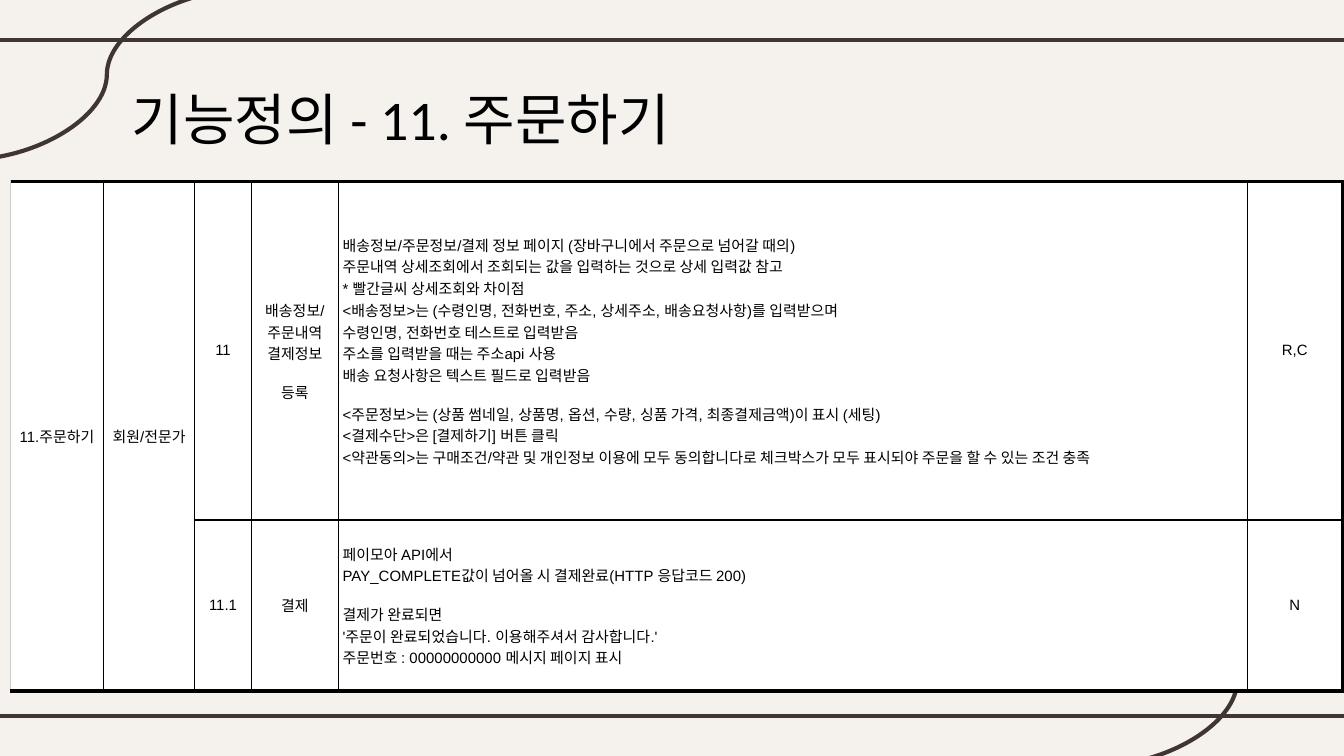
from lxml.etree import SubElement
from pptx import Presentation
from pptx.dml.color import RGBColor
from pptx.enum.shapes import MSO_CONNECTOR
from pptx.enum.text import MSO_ANCHOR, MSO_AUTO_SIZE, PP_ALIGN
from pptx.oxml.ns import qn
from pptx.util import Inches, Pt

CREAM = RGBColor(0xF5, 0xF2, 0xEE)
BROWN = RGBColor(0x3F, 0x35, 0x33)
BLACK = RGBColor(0x00, 0x00, 0x00)
GRAY = RGBColor(0xCC, 0xCC, 0xCC)
WHITE = RGBColor(0xFF, 0xFF, 0xFF)

THIN, MEDIUM, THICK = 0.75, 1.5, 2.25
COLUMN_WIDTHS = [0.69, 0.68, 0.42, 0.65, 6.76, 0.71]
ROW_HEIGHTS = [2.52, 1.27]
DETAIL_COLUMN = 4

# Each cell is a list of blocks; each block is a list of lines.
ORDER_DETAILS = [
    [
        "배송정보/주문정보/결제 정보 페이지 (장바구니에서 주문으로 넘어갈 때의)",
        "주문내역 상세조회에서 조회되는 값을 입력하는 것으로 상세 입력값 참고",
        "* 빨간글씨 상세조회와 차이점",
        "<배송정보>는 (수령인명, 전화번호, 주소, 상세주소, 배송요청사항)를 입력받으며",
        "수령인명, 전화번호 테스트로 입력받음",
        "주소를 입력받을 때는 주소api 사용",
        "배송 요청사항은 텍스트 필드로 입력받음",
    ],
    [
        "<주문정보>는 (상품 썸네일, 상품명, 옵션, 수량, 싱품 가격, 최종결제금액)이 표시 (세팅)",
        "<결제수단>은 [결제하기] 버튼 클릭",
        "<약관동의>는 구매조건/약관 및 개인정보 이용에 모두 동의합니다로 "
        "체크박스가 모두 표시되야 주문을 할 수 있는 조건 충족",
    ],
]
PAYMENT_DETAILS = [
    ["페이모아 API에서", "PAY_COMPLETE값이 넘어올 시 결제완료(HTTP 응답코드 200)"],
    [
        "결제가 완료되면",
        "'주문이 완료되었습니다. 이용해주셔서 감사합니다.'",
        "주문번호 : 00000000000 메시지 페이지 표시",
    ],
]
ROWS = [
    [
        [["11.주문하기"]],
        [["회원/전문가"]],
        [["11"]],
        [["배송정보/", "주문내역", "결제정보"], ["등록"]],
        ORDER_DETAILS,
        [["R,C"]],
    ],
    [None, None, [["11.1"]], [["결제"]], PAYMENT_DETAILS, [["N"]]],
]


class SlideBuilder:
    def __init__(self, page):
        self.page = page
        page.background.fill.solid()
        page.background.fill.fore_color.rgb = CREAM

    def line(self, start, end, kind=MSO_CONNECTOR.STRAIGHT):
        connector = self.page.shapes.add_connector(
            kind, *[Inches(value) for value in (*start, *end)])
        connector.line.color.rgb = BROWN
        connector.line.width = Pt(THICK)
        SubElement(connector._element.spPr, qn("a:effectLst"))

    def title(self, text, left, top, width, height):
        box = self.page.shapes.title
        box.left, box.top = Inches(left), Inches(top)
        box.width, box.height = Inches(width), Inches(height)
        frame = box.text_frame
        frame.text = text
        frame.auto_size = MSO_AUTO_SIZE.NONE
        frame.vertical_anchor = MSO_ANCHOR.TOP
        frame.margin_left = frame.margin_right = Inches(0.1)
        frame.margin_top = frame.margin_bottom = Inches(0.1)
        para = frame.paragraphs[0]
        para.alignment = PP_ALIGN.LEFT
        self.style_text(para, "Calibri", 30)

    def style_text(self, para, font, size):
        for span in para.runs:
            span.font.name = font
            span.font.size = Pt(size)
            span.font.color.rgb = BLACK

    def table(self, rows, left, top):
        frame = self.page.shapes.add_table(
            len(rows), len(COLUMN_WIDTHS), Inches(left), Inches(top),
            Inches(sum(COLUMN_WIDTHS)), Inches(sum(ROW_HEIGHTS)))
        table = frame.table
        table.first_row = table.horz_banding = False
        for column, width in zip(table.columns, COLUMN_WIDTHS):
            column.width = Inches(width)
        for row, height in zip(table.rows, ROW_HEIGHTS):
            row.height = Inches(height)
        for column in (0, 1):
            table.cell(0, column).merge(table.cell(len(rows) - 1, column))

        last_column = len(COLUMN_WIDTHS) - 1
        for r, row in enumerate(rows):
            for c, blocks in enumerate(row):
                if blocks is None:
                    continue
                cell = table.cell(r, c)
                at_bottom = r + cell.span_height == len(rows)
                top_width = THIN if r else THICK if cell.is_merge_origin else MEDIUM
                self.cell_borders(cell, {
                    "a:lnL": (THIN, BLACK if c else GRAY),
                    "a:lnR": (THICK if c == last_column else THIN, BLACK),
                    "a:lnT": (top_width, BLACK),
                    "a:lnB": (THICK if at_bottom else THIN, BLACK),
                })
                alignment = PP_ALIGN.LEFT if c == DETAIL_COLUMN else PP_ALIGN.CENTER
                self.cell_text(cell, blocks, alignment)

    def cell_borders(self, cell, borders):
        properties = cell._tc.get_or_add_tcPr()
        for tag, (width, color) in borders.items():
            border = SubElement(properties, qn(tag), w=str(Pt(width)))
            fill = SubElement(border, qn("a:solidFill"))
            SubElement(fill, qn("a:srgbClr"), val=str(color))

    def cell_text(self, cell, blocks, alignment):
        cell.fill.solid()
        cell.fill.fore_color.rgb = WHITE
        cell.vertical_anchor = MSO_ANCHOR.MIDDLE
        cell.margin_left = cell.margin_right = Inches(0.03)
        cell.margin_top = cell.margin_bottom = Inches(0.02)
        cell.text_frame.text = "\n".join(line for block in blocks for line in block)
        paragraphs = cell.text_frame.paragraphs
        for para in paragraphs:
            para.alignment = alignment
            self.style_text(para, "Arial", 8)
        block_start = 0
        for block in blocks[:-1]:
            block_start += len(block)
            paragraphs[block_start].space_before = Pt(9)


def main():
    deck = Presentation()
    deck.slide_width = Inches(10)
    deck.slide_height = deck.slide_width * 9 // 16
    builder = SlideBuilder(deck.slides.add_slide(deck.slide_layouts[5]))
    for y in (0.3, 5.33):
        builder.line((-0.08, y), (10.08, y))
    for x, y in ((10.26, 4.43), (1.85, -0.08)):
        builder.line((x, y), (x - 2.11, y + 1.27), MSO_CONNECTOR.CURVE)
    builder.title("기능정의 - 11. 주문하기", 0.88, 0.53, 5.06, 0.63)
    builder.table(ROWS, 0.08, 1.35)
    deck.save("out.pptx")


if __name__ == "__main__":
    main()
